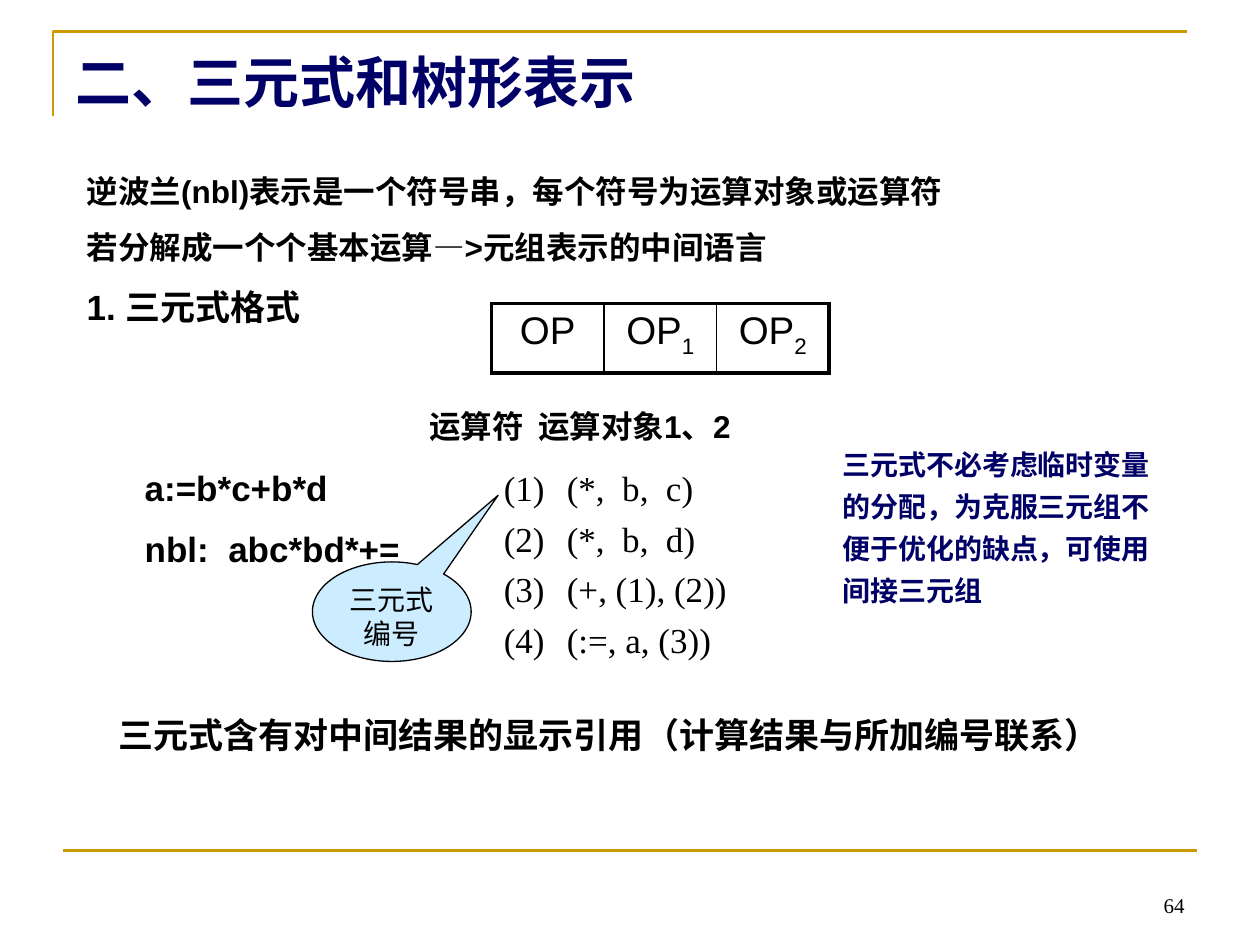
import pptx
import pptx.dml.color
import pptx.enum.shapes
import pptx.enum.text
import pptx.oxml
import pptx.oxml.ns
import pptx.util

BLACK = pptx.dml.color.RGBColor(0x00, 0x00, 0x00)
NAVY = pptx.dml.color.RGBColor(0x00, 0x00, 0x66)
GOLD = pptx.dml.color.RGBColor(0xCC, 0x99, 0x00)
SKY = pptx.dml.color.RGBColor(0xCC, 0xEC, 0xFF)
SANS, SERIF = "Arial", "Times New Roman"
ALIGN = pptx.enum.text.PP_ALIGN
ANCHOR = pptx.enum.text.MSO_ANCHOR
SHAPE = pptx.enum.shapes.MSO_SHAPE
COLUMNS, ROWS = 100, 75


def add_xml(parent, tag, **attributes):
    """Append a DrawingML element and return it."""
    element = pptx.oxml.parse_xml(f"<a:{tag} {pptx.oxml.ns.nsdecls('a')}/>")
    for name, value in attributes.items():
        element.set(name, str(value))
    parent.append(element)
    return element


class Page:
    """Hold the style and the current slide, placed on a 100 by 75 grid."""

    def __init__(self, deck):
        """Add a title-only slide to the deck."""
        self.slide = deck.slides.add_slide(deck.slide_layouts[5])
        self.shapes = self.slide.shapes
        self.column = deck.slide_width / COLUMNS
        self.row = deck.slide_height / ROWS

    def place(self, left, top, width, height):
        """Turn grid units into lengths."""
        return (round(left * self.column), round(top * self.row),
                round(width * self.column), round(height * self.row))

    def style(self, para, size, font=SERIF, color=BLACK, bold=False,
              align=ALIGN.LEFT, spacing=1.0, before=0):
        """Format a whole paragraph."""
        para.font.size = pptx.util.Pt(size)
        para.font.name = font
        para.font.bold = bold
        para.font.color.rgb = color
        para.alignment = align
        para.line_spacing = spacing
        para.space_before = pptx.util.Pt(size * before)

    def fill_text(self, frame, lines, size, **look):
        """Fill a text frame with one paragraph per line."""
        for index, line in enumerate(lines):
            para = frame.add_paragraph() if index else frame.paragraphs[0]
            para.add_run().text = line
            self.style(para, size, **look)

    def title(self, area, text):
        """Move, fill and format the title placeholder."""
        box = self.shapes.title
        box.left, box.top, box.width, box.height = self.place(*area)
        box.text_frame.vertical_anchor = ANCHOR.MIDDLE
        self.fill_text(box.text_frame, [text], 32, color=NAVY, bold=True)

    def text(self, area, lines, size, anchor=ANCHOR.TOP, wrap=True, **look):
        """Add a text box."""
        frame = self.shapes.add_textbox(*self.place(*area)).text_frame
        frame.word_wrap = wrap
        frame.vertical_anchor = anchor
        self.fill_text(frame, lines, size, **look)
        return frame

    def numbered(self, area, lines, size, **look):
        """Add a text box whose paragraphs are numbered (1), (2) and so on."""
        frame = self.text(area, lines, size, wrap=False, **look)
        indent = pptx.util.Inches(0.5)
        for para in frame.paragraphs:
            properties = para._p.get_or_add_pPr()
            properties.set("marL", str(indent))
            properties.set("indent", str(-indent))
            number = add_xml(properties, "buAutoNum", type="arabicParenBoth")
            properties.find(pptx.oxml.ns.qn("a:spcBef")).addnext(number)

    def rule(self, left, right, top):
        """Add a horizontal gold line."""
        start_x, start_y, width, _ = self.place(left, top, right - left, 0)
        line = self.shapes.add_connector(
            pptx.enum.shapes.MSO_CONNECTOR.STRAIGHT,
            start_x, start_y, start_x + width, start_y)
        line.line.color.rgb = GOLD
        line.line.width = pptx.util.Pt(1.5)
        add_xml(line._element.spPr, "effectLst")

    def corner(self, left, top, width, height):
        """Add the open gold corner around the title."""
        x, y, across, down = self.place(left, top, width, height)
        builder = self.shapes.build_freeform(x, y + down)
        builder.add_line_segments([(x, y), (x + across, y)], close=False)
        shape = builder.convert_to_shape()
        shape.fill.background()
        shape.line.color.rgb = GOLD
        shape.line.width = pptx.util.Pt(1.5)
        shape.shadow.inherit = False

    def callout(self, area, text, tip):
        """Add an elliptical callout pointing at the tip."""
        shape = self.shapes.add_shape(SHAPE.OVAL_CALLOUT, *self.place(*area))
        shape.adjustments[0], shape.adjustments[1] = tip
        shape.fill.solid()
        shape.fill.fore_color.rgb = SKY
        shape.line.color.rgb = BLACK
        shape.line.width = pptx.util.Pt(0.75)
        shape.shadow.inherit = False
        shape.text_frame.vertical_anchor = ANCHOR.TOP
        self.fill_text(shape.text_frame, [text], 16, align=ALIGN.CENTER)

    def borders(self, cell, widths):
        """Draw the left, right, top and bottom borders of a cell."""
        properties = cell._tc.get_or_add_tcPr()
        for index, (side, width) in enumerate(zip("LRTB", widths)):
            edge = add_xml(properties, f"ln{side}", w=pptx.util.Pt(width))
            add_xml(add_xml(edge, "solidFill"), "srgbClr", val=BLACK)
            properties.insert(index, edge)

    def triple(self, area, subscripts):
        """Add a one-row table of operator fields with subscripts."""
        last = len(subscripts) - 1
        frame = self.shapes.add_table(1, last + 1, *self.place(*area))
        table = frame.table
        table.first_row = table.horz_banding = False
        for index, subscript in enumerate(subscripts):
            cell = table.cell(0, index)
            cell.fill.background()
            self.fill_text(cell.text_frame, ["OP"], 22, font=SANS,
                           align=ALIGN.CENTER, before=0.2)
            if subscript:
                span = cell.text_frame.paragraphs[0].add_run()
                span.text = subscript
                span._r.get_or_add_rPr().set("baseline", "-25000")
            self.borders(cell, (1 if index else 2.25,
                                2.25 if index == last else 1, 2.25, 2.25))


def main():
    """Build the slide and save it."""
    deck = pptx.Presentation()
    deck.slide_width = pptx.util.Inches(10)
    deck.slide_height = pptx.util.Inches(7.5)
    page = Page(deck)
    body = dict(font=SANS, bold=True, spacing=1.3, before=0.2)

    page.corner(4.2, 2.5, 90, 6.7)
    page.rule(5, 95, 67.5)
    page.text((71.7, 68.3, 23.3, 5), ["64"], 12, anchor=ANCHOR.BOTTOM,
              align=ALIGN.RIGHT)
    page.title((5, 3, 89.9, 6.9), "二、三元式和树形表示")

    intro = page.text((5.9, 12.3, 89, 15), [
        "逆波兰(nbl)表示是一个符号串，每个符号为运算对象或运算符",
        "若分解成一个个基本运算—>元组表示的中间语言",
        "1. 三元式格式"], 18, **body)
    page.style(intro.paragraphs[-1], 20, **body)
    page.triple((39, 24.1, 26.8, 5.5), ["", "1", "2"])
    page.text((33.1, 30.9, 30, 5), ["运算符  运算对象1、2"], 18, **body)
    page.text((10.5, 35.5, 28, 10), ["a:=b*c+b*d", "nbl:  abc*bd*+="],
              20, **body)
    page.text((8.4, 55.1, 86, 6),
              ["三元式含有对中间结果的显示引用（计算结果与所加编号联系）"],
              20, **body)

    page.numbered((39, 35.9, 19.8, 17.2), [
        "(*,  b,  c)", "(*,  b,  d)", "(+, (1), (2))", "(:=, a, (3))"],
        20, spacing=1.2)
    page.callout((24.8, 44.6, 12.6, 7.9), "三元式编号", (0.67, -1.17))
    page.text((65.9, 34.4, 26.6, 14.4), [
        "三元式不必考虑临时变量的分配，为克服三元组不便于优化的缺点，"
        "可使用间接三元组"], 16, color=NAVY, bold=True, spacing=1.25)
    deck.save("out.pptx")


if __name__ == "__main__":
    main()
